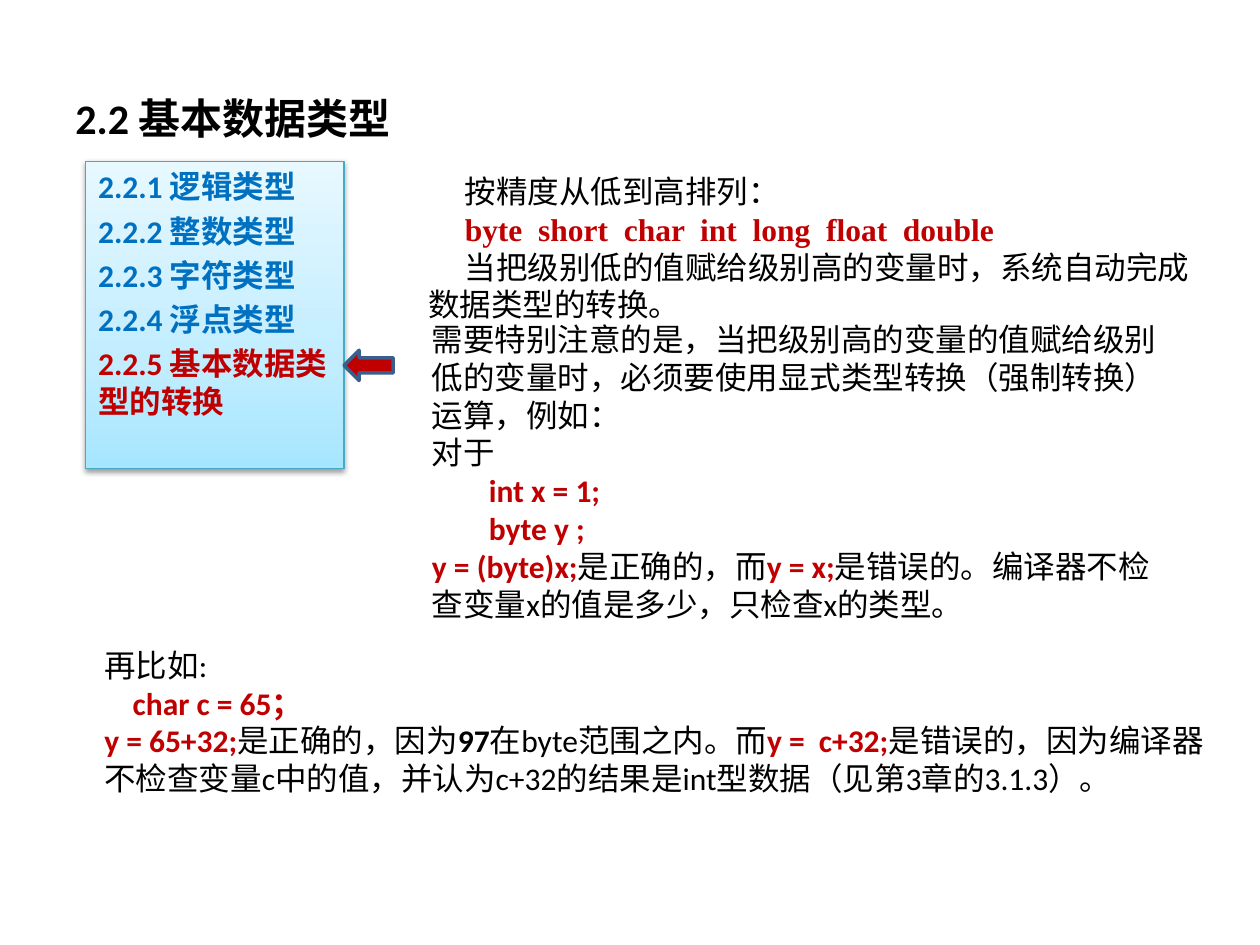
from lxml import etree
from pptx import Presentation
from pptx.dml.color import RGBColor
from pptx.enum.lang import MSO_LANGUAGE_ID as Language
from pptx.enum.shapes import MSO_SHAPE as Shape
from pptx.enum.text import MSO_ANCHOR as Anchor, MSO_AUTO_SIZE as AutoSize, PP_ALIGN as Align
from pptx.oxml import parse_xml
from pptx.oxml.ns import nsdecls
from pptx.util import Inches, Pt

BLACK, RED, BLUE = "000000", "C00000", "0070C0"
PLAIN = {"color": BLACK, "bold": False}
STRONG = {"color": BLACK, "bold": True}
CODE = {"color": RED, "bold": True}
TOPIC = {"color": BLUE, "bold": True}

TOPICS = [
    [("2.2.1 逻辑类型", TOPIC)],
    [("2.2.2 整数类型", TOPIC)],
    [("2.2.3 字符类型", TOPIC)],
    [("2.2.4 浮点类型", TOPIC)],
    [("2.2.5 基本数据类型的转换", CODE)],
]
PRECISION = [
    [("按精度从低到高排列：", PLAIN)],
    [("byte  short  char  int  long  float  double", CODE)],
    [("当把级别低的值赋给级别高的变量时，系统自动完成数据类型的转换。", PLAIN)],
]
CASTING = [
    [("需要特别注意的是，当把级别高的变量的值赋给级别低的变量时，"
      "必须要使用显式类型转换（强制转换）运算，例如：", PLAIN)],
    [("对于", PLAIN)],
    [("        int x = 1;", CODE)],
    [("        byte y ;", CODE)],
    [("y = (byte)x;", CODE), ("是正确的，而", PLAIN), ("y = x;", CODE),
     ("是错误的。编译器不检查变量x的值是多少，只检查x的类型。", PLAIN)],
]
CHAR_EXAMPLE = [
    [("再比如:", PLAIN)],
    [("    char c = 65；", CODE)],
    [("y = 65+32;", CODE), ("是正确的，因为", PLAIN), ("97", STRONG),
     ("在byte范围之内。而", PLAIN), ("y =  c+32;", CODE),
     ("是错误的，因为编译器不检查变量c中的值，"
      "并认为c+32的结果是int型数据（见第3章的3.1.3）。", PLAIN)],
]


def rgb(value):
    return RGBColor.from_string(value)


def inches(box):
    return [Inches(length) for length in box]


def write_text(shape, paragraphs, size=18, font="Calibri", anchor=Anchor.TOP,
               gap=0, indent=0, auto_size=AutoSize.NONE):
    frame = shape.text_frame
    for name, value in {"word_wrap": True, "vertical_anchor": anchor,
                        "auto_size": auto_size}.items():
        setattr(frame, name, value)
    for index, runs in enumerate(paragraphs):
        paragraph = frame.paragraphs[0] if index == 0 else frame.add_paragraph()
        paragraph.alignment = Align.LEFT
        if index and gap:
            paragraph.space_before = Pt(gap)
        if indent:
            properties = paragraph._p.get_or_add_pPr()
            properties.set("marL", "0")
            properties.set("indent", str(Inches(indent)))
        for text, style in runs:
            run = paragraph.add_run()
            run.text = text
            settings = {"name": font, "size": Pt(size), "bold": style["bold"],
                        "language_id": Language.SIMPLIFIED_CHINESE}
            for name, value in settings.items():
                setattr(run.font, name, value)
            run.font.color.rgb = rgb(style["color"])


def add_text(slide, box, paragraphs, **options):
    write_text(slide.shapes.add_textbox(*inches(box)), paragraphs, **options)


def add_block(slide, kind, box, fill, line, width):
    shape = slide.shapes.add_shape(kind, *inches(box))
    shape.shadow.inherit = False
    shape.fill.solid()
    shape.fill.fore_color.rgb = rgb(fill)
    shape.line.color.rgb = rgb(line)
    shape.line.width = Pt(width)
    return shape


def set_gradient(shape, stops, angle):
    properties = shape._element.spPr
    parts = "".join(
        f'<a:gs pos="{position * 1000}"><a:srgbClr val="{color}"/></a:gs>'
        for position, color in stops)
    gradient = parse_xml(
        f'<a:gradFill {nsdecls("a")} rotWithShape="1"><a:gsLst>{parts}</a:gsLst>'
        f'<a:lin ang="{angle * 60000}" scaled="0"/></a:gradFill>')
    solid = properties.find("{*}solidFill")
    properties.replace(solid, gradient)


def set_shadow(shape, color, opacity, blur, distance, angle):
    effects = shape._element.spPr.find("{*}effectLst")
    namespace = "{" + etree.QName(effects).namespace + "}"
    shadow = etree.SubElement(
        effects, namespace + "outerShdw", blurRad=str(Pt(blur)),
        dist=str(Pt(distance)), dir=str(angle * 60000), rotWithShape="0")
    shade = etree.SubElement(shadow, namespace + "srgbClr", val=color)
    etree.SubElement(shade, namespace + "alpha", val=str(opacity * 1000))


def add_topic_panel(slide):
    panel = add_block(slide, Shape.RECTANGLE, (0.68, 1.28, 2.05, 2.44),
                      "C1EDFF", "46AAC5", 0.75)
    set_gradient(panel, [(0, "A7E6FF"), (35, "C1EDFF"), (100, "E7F8FF")], 270)
    set_shadow(panel, BLACK, 38, 3.1, 1.6, 90)
    write_text(panel, TOPICS, gap=3.6)


def main():
    presentation = Presentation()
    presentation.slide_width = Inches(10)
    presentation.slide_height = Inches(7.5)
    slide = presentation.slides.add_slide(presentation.slide_layouts[6])

    add_text(slide, (0.5, 0.3, 3.24, 1.27), [[("2.2 基本数据类型", STRONG)]],
             size=24, anchor=Anchor.MIDDLE)
    add_topic_panel(slide)
    add_block(slide, Shape.LEFT_ARROW, (2.73, 2.78, 0.39, 0.24), RED, "3A5F8C", 2)

    grow = AutoSize.SHAPE_TO_FIT_TEXT
    add_text(slide, (3.3, 1.31, 6.38, 1.31), PRECISION, font="Times New Roman",
             anchor=Anchor.MIDDLE, indent=0.29, auto_size=grow)
    add_text(slide, (3.33, 2.49, 6.08, 2.52), CASTING, auto_size=grow)
    add_text(slide, (0.73, 5.07, 9.04, 1.31), CHAR_EXAMPLE,
             anchor=Anchor.MIDDLE, auto_size=grow)

    presentation.save("out.pptx")


if __name__ == "__main__":
    main()
